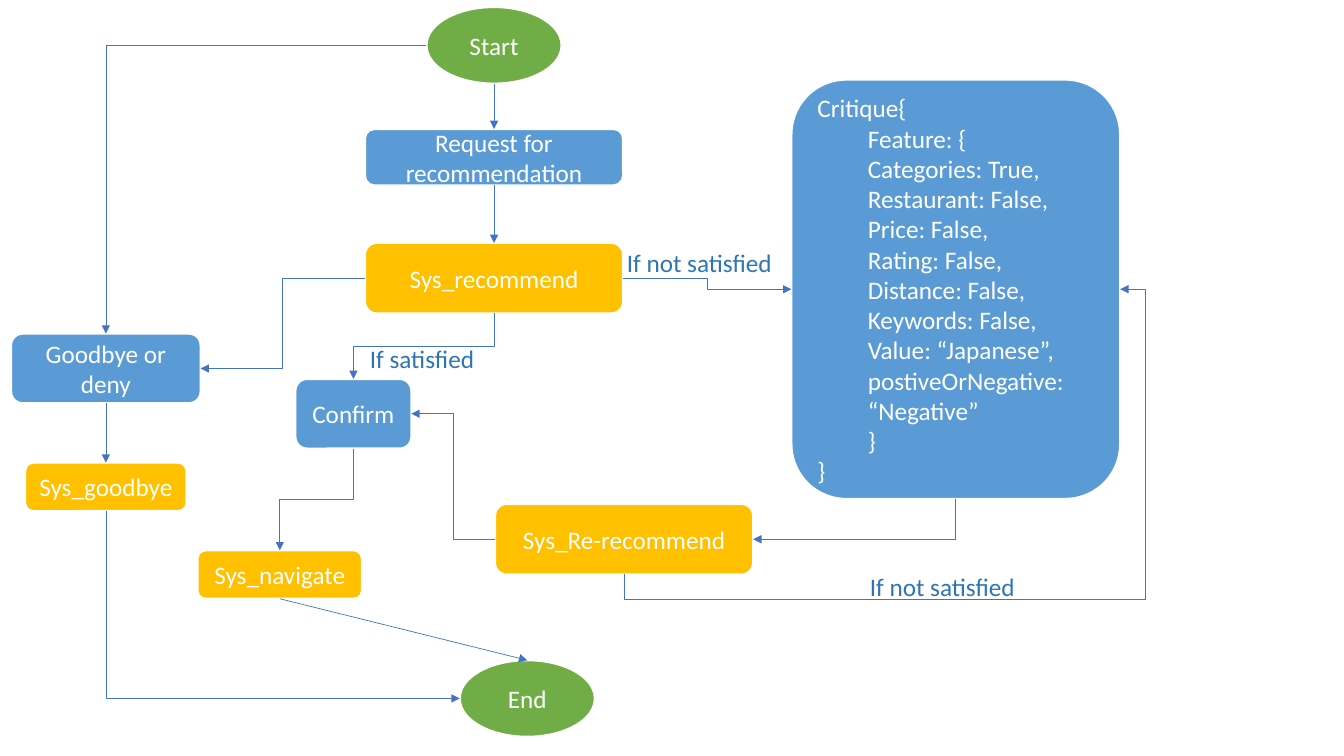
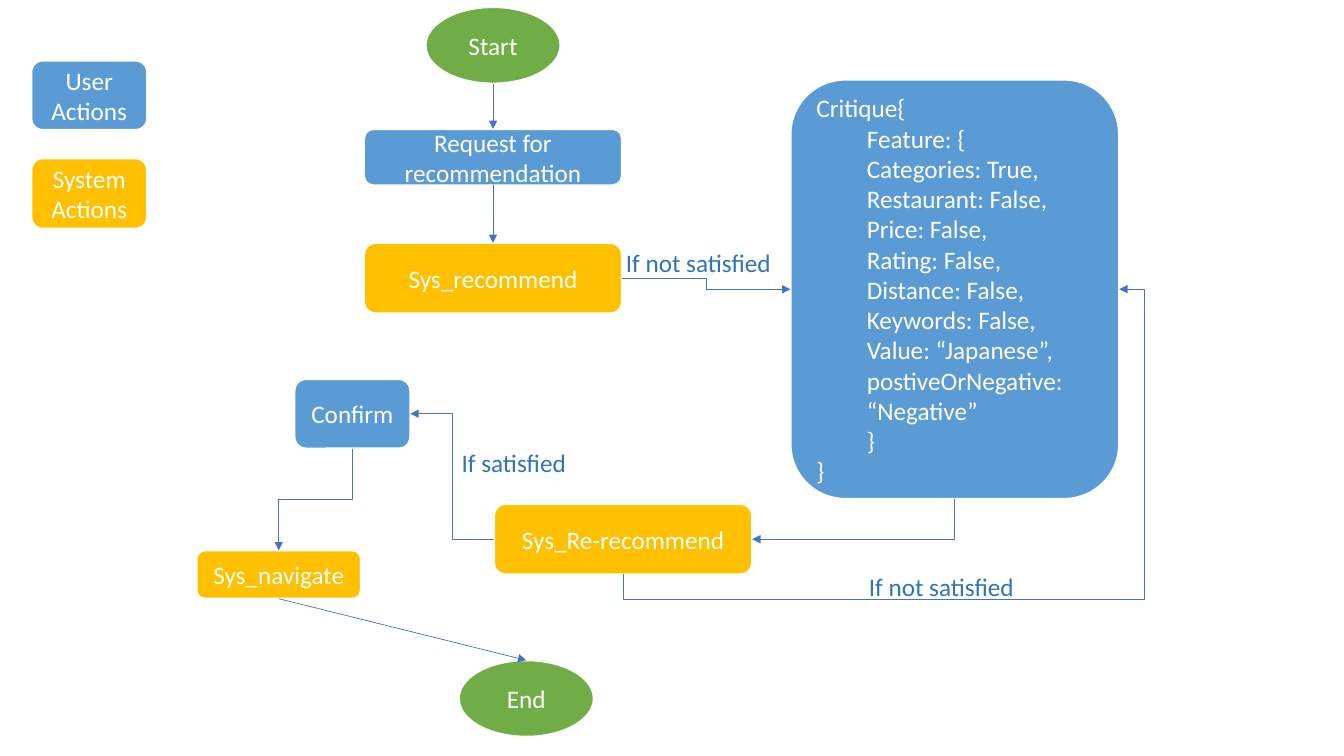
"""Two flowcharts of a recommendation dialogue: the full flow and the critique flow with a legend."""
import math

import pptx
import pptx.dml.color
import pptx.enum.shapes
import pptx.enum.text
import pptx.oxml
import pptx.util
from pptx.util import Inches

FONT = "Calibri"
WHITE, BLUE, AMBER, GREEN = "FFFFFF", "5B9BD5", "FFC000", "70AD47"
ARROW, LABEL = "4472C4", "2E75B6"
TOP, LEFT, BOTTOM, RIGHT = range(4)
ANGLE = {RIGHT: 0, BOTTOM: 90, LEFT: 180}
SHAPE = pptx.enum.shapes.MSO_SHAPE
CONNECTOR = pptx.enum.shapes.MSO_CONNECTOR
ALIGN = pptx.enum.text.PP_ALIGN


def rgb(value):
    return pptx.dml.color.RGBColor.from_string(value)


def write(tf, lines, color, align):
    tf.word_wrap = True
    for i, (level, text) in enumerate(lines):
        p = tf.paragraphs[0] if i == 0 else tf.add_paragraph()
        p.alignment = align
        if level:
            p.level = level
            p._p.get_or_add_pPr().set("marL", str(Inches(0.5 * level)))
            p._p.get_or_add_pPr().set("indent", "0")
        r = p.add_run()
        r.text = text
        r.font.name = FONT
        r.font.size = pptx.util.Pt(18)
        r.font.color.rgb = rgb(color)


CRITIQUE = [
    (0, "Critique{"),
    (1, "Feature: {"),
    (1, "Categories: True,"),
    (1, "Restaurant: False,"),
    (1, "Price: False,"),
    (1, "Rating: False,"),
    (1, "Distance: False,"),
    (1, "Keywords: False,"),
    (1, "Value: “Japanese”,"),
    (1, "postiveOrNegative: “Negative”"),
    (1, "}"),
    (0, "}"),
]

shared_nodes = [
    ("Start", GREEN, 4.23, 0.07, 1.34, 0.76),
    ("Request for recommendation", BLUE, 3.62, 1.28, 2.56, 0.56),
    ("Sys_recommend", AMBER, 3.62, 2.41, 2.56, 0.7),
    ("Confirm", BLUE, 2.93, 3.76, 1.15, 0.69),
    ("Sys_navigate", AMBER, 1.96, 5.46, 1.63, 0.48),
    ("End", GREEN, 4.56, 6.55, 1.34, 0.76),
    ("Critique", BLUE, 7.85, 0.79, 3.26, 4.16),
    ("Sys_Re-recommend", AMBER, 4.91, 5, 2.56, 0.7),
]
goodbye_nodes = [
    ("Goodbye or deny", BLUE, 0.11, 3.31, 1.88, 0.69),
    ("Sys_goodbye", AMBER, 0.25, 4.59, 1.6, 0.48),
]
legend_nodes = [
    ("User Actions", BLUE, 0.32, 0.6, 1.15, 0.69),
    ("System Actions", AMBER, 0.32, 1.57, 1.15, 0.7),
]

shared_links = [
    ("Start", BOTTOM, "Request for recommendation", TOP, 1, []),
    ("Request for recommendation", BOTTOM, "Sys_recommend", TOP, 1, []),
    ("Sys_recommend", RIGHT, "Critique", LEFT, 3, []),
    ("Critique", BOTTOM, "Sys_Re-recommend", RIGHT, 2, []),
    ("Sys_Re-recommend", LEFT, "Confirm", RIGHT, 3, []),
    ("Sys_Re-recommend", BOTTOM, "Critique", RIGHT, 4, [-8800, 105100]),
    ("Confirm", BOTTOM, "Sys_navigate", TOP, 3, []),
    ("Sys_navigate", BOTTOM, "End", TOP, 1, []),
]
goodbye_links = [
    ("Start", LEFT, "Goodbye or deny", TOP, 2, []),
    ("Sys_recommend", LEFT, "Goodbye or deny", RIGHT, 3, []),
    ("Sys_recommend", BOTTOM, "Confirm", TOP, 3, []),
    ("Goodbye or deny", BOTTOM, "Sys_goodbye", TOP, 1, []),
    ("Sys_goodbye", BOTTOM, "End", LEFT, 2, []),
]

shared_labels = [
    ("If not satisfied", 8.53, 5.62, 1.73),
    ("If not satisfied", 6.12, 2.4, 1.73),
]

slides = [
    (0, shared_nodes + goodbye_nodes, shared_links + goodbye_links,
     shared_labels + [("If satisfied", 3.57, 3.36, 1.25)]),
    (-0.01, shared_nodes + legend_nodes, shared_links,
     shared_labels + [("If satisfied", 4.49, 4.39, 1.39)]),
]

prs = pptx.Presentation()
prs.slide_width = Inches(13.33)
prs.slide_height = Inches(7.5)

for shift, nodes, links, labels in slides:
    s = prs.slides.add_slide(prs.slide_layouts[6])

    boxes = {}
    for name, fill, x, y, w, h in nodes:
        kind = SHAPE.OVAL if fill == GREEN else SHAPE.ROUNDED_RECTANGLE
        sp = s.shapes.add_shape(kind, Inches(x + shift), Inches(y), Inches(w), Inches(h))
        sp.shadow.inherit = False
        sp.fill.solid()
        sp.fill.fore_color.rgb = rgb(fill)
        sp.line.color.rgb = rgb(WHITE)
        sp.line.width = pptx.util.Pt(1.5)
        sp.text_frame.vertical_anchor = pptx.enum.text.MSO_ANCHOR.MIDDLE
        if name == "Critique":
            write(sp.text_frame, CRITIQUE, WHITE, ALIGN.LEFT)
        else:
            write(sp.text_frame, [(0, name)], WHITE, ALIGN.CENTER)
        boxes[name] = sp

    for source, out_site, target, in_site, segments, adjusts in links:
        kind = CONNECTOR.STRAIGHT if segments == 1 else CONNECTOR.ELBOW
        c = s.shapes.add_connector(kind, 0, 0, 0, 0)
        c.begin_connect(boxes[source], out_site)
        c.end_connect(boxes[target], in_site)
        for tag, box, site in (("stCxn", source, out_site), ("endCxn", target, in_site)):
            if boxes[box].auto_shape_type == SHAPE.OVAL:
                c._element.xpath(f".//a:{tag}")[0].set("idx", str(site * 2))

        if segments > 1:
            angle = ANGLE[out_site]
            dx, dy = c.end_x - c.begin_x, c.end_y - c.begin_y
            mid_x, mid_y = (c.begin_x + c.end_x) // 2, (c.begin_y + c.end_y) // 2
            cos, sin = round(math.cos(math.radians(angle))), round(math.sin(math.radians(angle)))
            run, rise = dx * cos + dy * sin, dy * cos - dx * sin
            c.width, c.height = abs(run), abs(rise)
            c.left, c.top = mid_x - abs(run) // 2, mid_y - abs(rise) // 2
            c.rotation = angle
            xfrm = c._element.xpath("./p:spPr/a:xfrm")[0]
            xfrm.set("flipH", str(int(run < 0)))
            xfrm.set("flipV", str(int(rise < 0)))
            geom = c._element.xpath("./p:spPr/a:prstGeom")[0]
            geom.set("prst", f"bentConnector{segments}")
            for i, value in enumerate(adjusts, 1):
                gd = pptx.oxml.parse_xml(
                    '<a:gd xmlns:a="http://schemas.openxmlformats.org/drawingml/2006/main" '
                    f'name="adj{i}" fmla="val {value}"/>')
                geom.xpath("./a:avLst")[0].append(gd)

        c.line.color.rgb = rgb(ARROW)
        c.line.width = pptx.util.Pt(0.5)
        ln = c.line._get_or_add_ln()
        ln.append(ln.makeelement(pptx.oxml.ns.qn("a:tailEnd"), {"type": "triangle"}))
        sp_pr = c._element.spPr
        sp_pr.append(sp_pr.makeelement(pptx.oxml.ns.qn("a:effectLst"), {}))

    for text, x, y, w in labels:
        tb = s.shapes.add_textbox(Inches(x + shift), Inches(y), Inches(w), Inches(0.4))
        write(tb.text_frame, [(0, text)], LABEL, ALIGN.LEFT)

prs.save("out.pptx")
